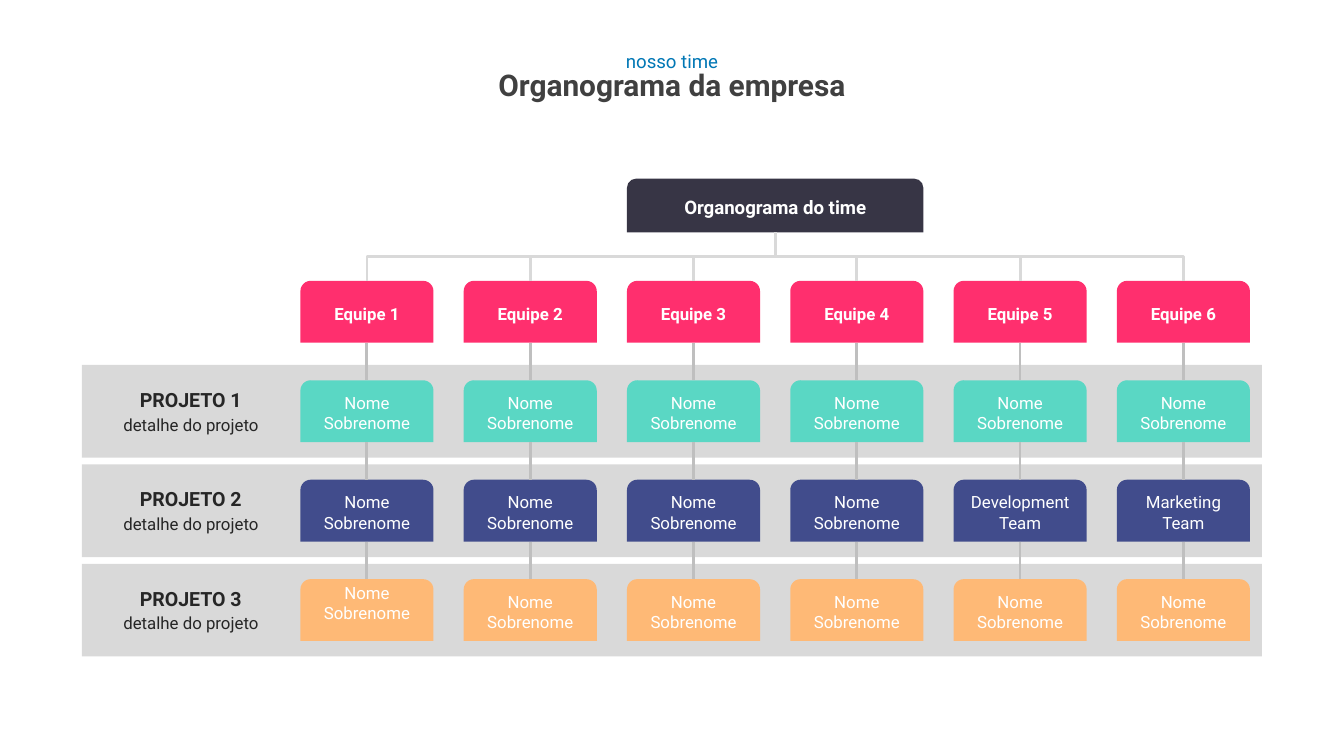
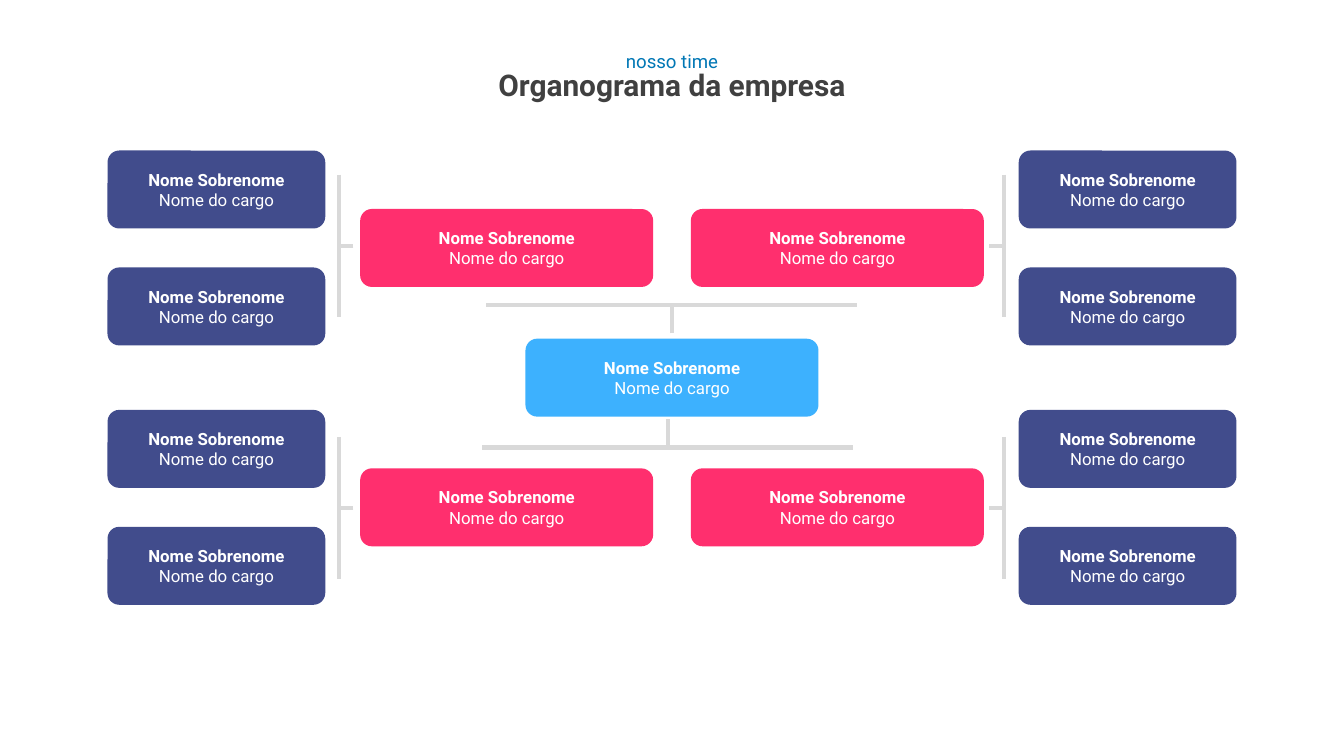
from dataclasses import dataclass

from lxml.etree import SubElement
from pptx import Presentation
from pptx.dml.color import RGBColor
from pptx.enum.shapes import MSO_CONNECTOR as Link, MSO_SHAPE as Preset
from pptx.enum.text import MSO_ANCHOR as Anchor, MSO_AUTO_SIZE as AutoSize, PP_ALIGN as Align
from pptx.oxml.ns import qn
from pptx.util import Inches, Pt


@dataclass(frozen=True)
class Theme:
    font: str = "Roboto"
    white: str = "FFFFFF"
    dark: str = "373545"
    pink: str = "FF2F6E"
    teal: str = "5AD7C4"
    navy: str = "414C8C"
    orange: str = "FEB976"
    sky: str = "3DB1FE"
    band: str = "D9D9D9"
    link: str = "BFBFBF"
    title: str = "404040"
    kicker: str = "0077B5"
    label: str = "262626"
    title_size: float = 16
    project_size: float = 10.5
    head_size: float = 10
    body_size: float = 9
    thin: float = 1.5
    thick: float = 2.25


THEME = Theme()
WIDTH = 10
HEIGHT = WIDTH * 9 / 16

KICKER = "nosso time"
TITLE = "Organograma da empresa"
ROOT = "Organograma do time"
TEAMS = [f"Equipe {number}" for number in range(1, 7)]
PERSON = ["Nome Sobrenome"]
PROJECT_DETAIL = "detalhe do projeto"
PROJECTS = [
    ("PROJETO 1", THEME.teal, [PERSON] * 6),
    ("PROJETO 2", THEME.navy, [PERSON] * 4 + [["Development", "Team"], ["Marketing", "Team"]]),
    ("PROJETO 3", THEME.orange, [PERSON] * 6),
]
RAISED_MEMBER = ("PROJETO 3", 0)
POSITION = ["Nome Sobrenome", "Nome do cargo"]

COLUMN_STEP = 2.43 / 2
COLUMN_LEFT = 8.31 - 5 * COLUMN_STEP
ROW_TOP, ROW_STEP = 2.09, 0.74
MEMBER_WIDTH, MEMBER_HEIGHT = 0.99, 0.46
ROOT_TOP, ROOT_HEIGHT = 1.33, 0.4
BAND_LEFT, BAND_HEIGHT = 0.61, 0.69

CARD_HEIGHT, CARD_STEP = 0.58, 0.87
STAFF_LEFT, STAFF_WIDTH = 0.8, 1.62
LEAD_LEFT, LEAD_WIDTH = 2.68, 2.18
BRANCH_TOPS = [1.12, 3.05]
BRACKET_MIDDLES = [1.83, 3.78]
BRACKET_HALF = 0.53
BRACKETS = [(2.52, 2.63), (7.47, 7.36)]
TEES = [(5, 2.27, 2.48), (4.97, 3.33, 3.12)]
TEE_HALF = 1.38


def inches(*lengths):
    return [Inches(length) for length in lengths]


def write(box, lines, color, sizes, bolds, space_after=None):
    frame = box.text_frame
    for index, line in enumerate(lines):
        para = frame.paragraphs[0] if index == 0 else frame.add_paragraph()
        para.text = line
        para.alignment = Align.CENTER
        if space_after is not None:
            para.space_after = Pt(space_after)
        font = para.font
        font.name = THEME.font
        font.size = Pt(sizes[index])
        font.bold = bolds[index]
        font.color.rgb = RGBColor.from_string(color)


def add_block(page, preset, place, fill):
    box = page.shapes.add_shape(preset, *inches(*place))
    box.shadow.inherit = False
    box.fill.solid()
    box.fill.fore_color.rgb = RGBColor.from_string(fill)
    box.line.fill.background()
    return box


def add_card(page, preset, place, fill, lines, sizes, bolds, insets=(0, 0)):
    box = add_block(page, preset, place, fill)
    frame = box.text_frame
    frame.word_wrap = True
    frame.vertical_anchor = Anchor.MIDDLE
    frame.margin_left = frame.margin_right = Inches(insets[0])
    frame.margin_top = frame.margin_bottom = Inches(insets[1])
    write(box, lines, THEME.white, sizes, bolds)
    return box


def add_label(page, place, lines, color, sizes, bolds, anchor=Anchor.TOP, space_after=None):
    box = page.shapes.add_textbox(*inches(*place))
    frame = box.text_frame
    frame.word_wrap = False
    frame.auto_size = AutoSize.SHAPE_TO_FIT_TEXT
    frame.vertical_anchor = anchor
    write(box, lines, color, sizes, bolds, space_after)


def add_line(shapes, start, end, color, weight, kind=Link.STRAIGHT):
    line = shapes.add_connector(kind, *inches(*start, *end))
    line.line.color.rgb = RGBColor.from_string(color)
    line.line.width = Pt(weight)
    SubElement(line._element.spPr, qn("a:effectLst"))
    return line


def add_drop(page, start, end):
    middle_x, middle_y = (start[0] + end[0]) / 2, (start[1] + end[1]) / 2
    span, drop = abs(end[0] - start[0]), end[1] - start[1]
    side = 1 if end[0] > start[0] else -1
    line = add_line(
        page.shapes,
        (middle_x + side * drop / 2, middle_y - span / 2),
        (middle_x - side * drop / 2, middle_y + span / 2),
        THEME.band, THEME.thin, Link.ELBOW,
    )
    turn = 270 if side > 0 else 90
    line._element.spPr.find(qn("a:xfrm")).set("rot", str(turn * 60000))


def join_down(page, upper, lower):
    line = add_line(page.shapes, (0, 0), (0, 0), THEME.link, THEME.thin)
    line.begin_connect(upper, 2)
    line.end_connect(lower, 0)
    for tag, site in (("a:stCxn", "1"), ("a:endCxn", "3")):
        for joint in line._element.iter(qn(tag)):
            joint.set("idx", site)


def add_tee(page, spine, stem):
    group = page.shapes.add_group_shape()
    for start, end in (spine, stem):
        add_line(group.shapes, start, end, THEME.band, THEME.thick)


def add_heading(page):
    add_label(page, (3.59, 0.45, 2.82, 0.37), [TITLE], THEME.title, [THEME.title_size], [True])
    add_label(page, (4.55, 0.32, 0.9, 0.27), [KICKER], THEME.kicker, [THEME.head_size], [False])


def add_member(page, column, row, fill, lines, bold):
    place = (COLUMN_LEFT + column * COLUMN_STEP, ROW_TOP + row * ROW_STEP, MEMBER_WIDTH, MEMBER_HEIGHT)
    count = len(lines)
    return add_card(page, Preset.ROUND_2_SAME_RECTANGLE, place, fill, lines,
                    [THEME.body_size] * count, [bold] * count, (0.06, 0.03))


def build_team_page(page):
    row_tops = [ROW_TOP + row * ROW_STEP for row in range(1, len(PROJECTS) + 1)]
    for top in row_tops:
        band_top = top - (BAND_HEIGHT - MEMBER_HEIGHT) / 2
        add_block(page, Preset.RECTANGLE, (BAND_LEFT, band_top, WIDTH - 2 * BAND_LEFT, BAND_HEIGHT), THEME.band)

    root_left, root_width = COLUMN_LEFT + 2 * COLUMN_STEP, COLUMN_STEP + MEMBER_WIDTH
    add_card(page, Preset.ROUND_2_SAME_RECTANGLE, (root_left, ROOT_TOP, root_width, ROOT_HEIGHT),
             THEME.dark, [ROOT], [THEME.head_size], [True], (0.06, 0.03))

    rows = [[add_member(page, column, 0, THEME.pink, [team], True) for column, team in enumerate(TEAMS)]]
    for row, (project, fill, members) in enumerate(PROJECTS, 1):
        boxes = [add_member(page, column, row, fill, lines, False) for column, lines in enumerate(members)]
        if project == RAISED_MEMBER[0]:
            frame = boxes[RAISED_MEMBER[1]].text_frame
            frame.vertical_anchor = Anchor.TOP
            frame.margin_top = 0
        rows.append(boxes)

    for column in range(len(TEAMS)):
        center = COLUMN_LEFT + column * COLUMN_STEP + MEMBER_WIDTH / 2
        add_drop(page, (root_left + root_width / 2, ROOT_TOP + ROOT_HEIGHT), (center, ROW_TOP))
    for upper_row, lower_row in zip(rows, rows[1:]):
        for upper, lower in zip(upper_row, lower_row):
            join_down(page, upper, lower)

    for top, (project, _, _) in zip(row_tops, PROJECTS):
        add_label(page, (0.81, top, 1.22, MEMBER_HEIGHT), [project, PROJECT_DETAIL], THEME.label,
                  [THEME.project_size, THEME.body_size], [True, False], Anchor.MIDDLE, 1.5)
    add_heading(page)


def add_position(page, left, top, width, fill):
    card = add_card(page, Preset.ROUNDED_RECTANGLE, (left, top, width, CARD_HEIGHT), fill,
                    POSITION, [THEME.body_size] * 2, [True, False])
    card.adjustments[0] = 0.15


def build_position_page(page):
    add_position(page, (WIDTH - LEAD_WIDTH) / 2, 2.52, LEAD_WIDTH, THEME.sky)
    for top in BRANCH_TOPS:
        for left in (STAFF_LEFT, WIDTH - STAFF_LEFT - STAFF_WIDTH):
            for step in range(2):
                add_position(page, left, top + step * CARD_STEP, STAFF_WIDTH, THEME.navy)
        for left in (LEAD_LEFT, WIDTH - LEAD_LEFT - LEAD_WIDTH):
            add_position(page, left, top + CARD_STEP / 2, LEAD_WIDTH, THEME.pink)

    for spine_x, stem_x in BRACKETS:
        for middle in BRACKET_MIDDLES:
            add_tee(page, ((spine_x, middle - BRACKET_HALF), (spine_x, middle + BRACKET_HALF)),
                    ((stem_x, middle), (spine_x, middle)))
    for center, bar_y, stem_y in TEES:
        add_tee(page, ((center - TEE_HALF, bar_y), (center + TEE_HALF, bar_y)),
                ((center, stem_y), (center, bar_y)))
    add_heading(page)


def main():
    deck = Presentation()
    deck.slide_width, deck.slide_height = inches(WIDTH, HEIGHT)
    for build in (build_team_page, build_position_page):
        build(deck.slides.add_slide(deck.slide_layouts[6]))
    deck.save("out.pptx")


if __name__ == "__main__":
    main()
